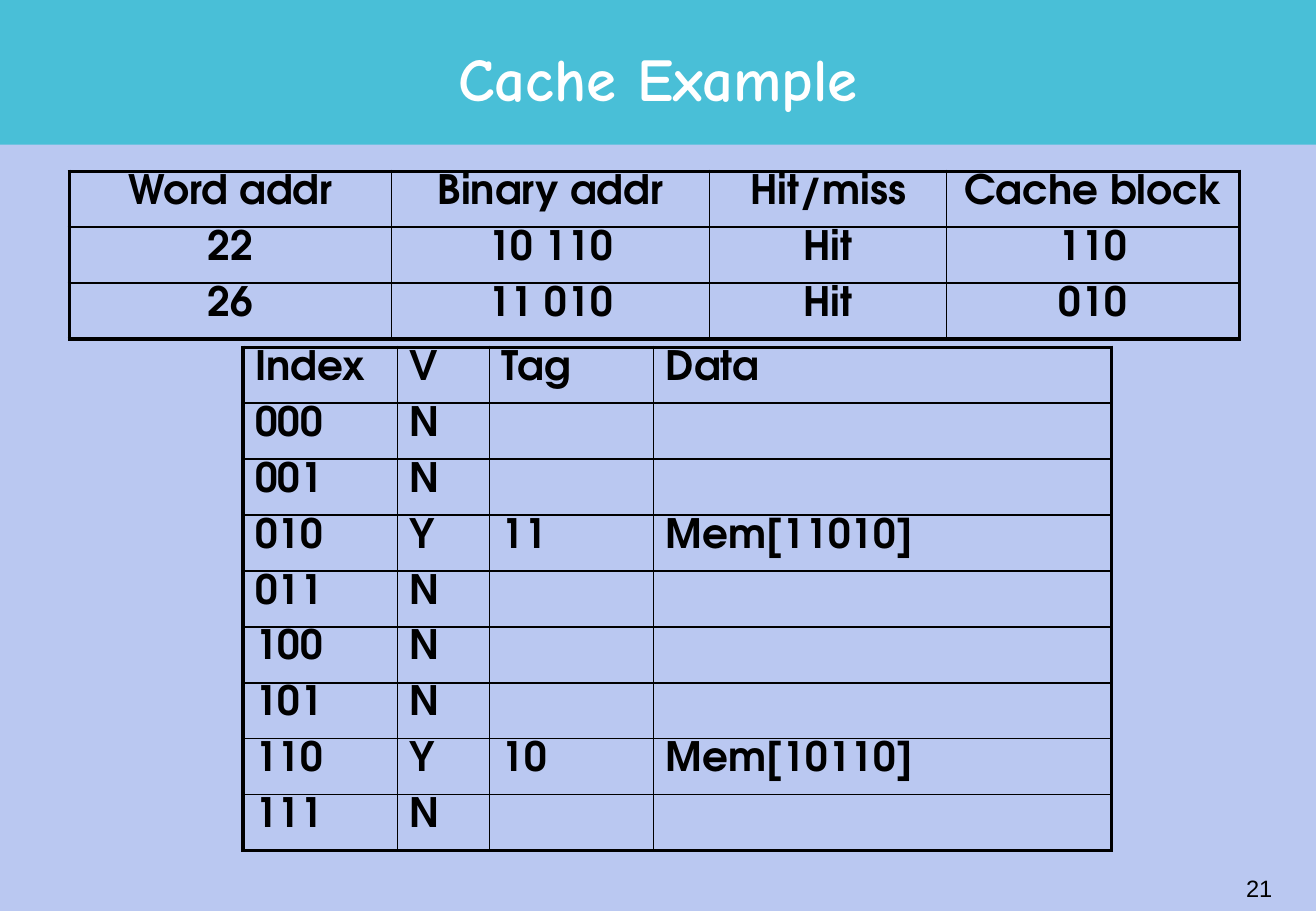
from lxml import etree
from pptx import Presentation, util as u
from pptx.dml.color import RGBColor
from pptx.enum import shapes, text
from pptx.oxml import ns

TEAL = RGBColor(0x49, 0xBF, 0xD7)
LILAC = RGBColor(0xBA, 0xC8, 0xF1)
WHITE = RGBColor(0xFF, 0xFF, 0xFF)
BLACK = RGBColor(0, 0, 0)
LEFT, MID, RIGHT = text.PP_ALIGN.LEFT, text.PP_ALIGN.CENTER, text.PP_ALIGN.RIGHT
THIN, RULE, FRAME = 1, 1.5, 2.25


def write(frame, words, font, size, color, bold, align, space):
    """Fill the first paragraph of a text frame with one styled run."""
    para = frame.paragraphs[0]
    para.alignment = align
    para.line_spacing = space
    run = para.add_run()
    run.text = words
    run.font.name = font
    run.font.size = u.Pt(size)
    run.font.bold = bold
    run.font.color.rgb = color


def edge(cell, side, width):
    """Draw one black border, side being L, R, T or B."""
    props = cell._tc.get_or_add_tcPr()
    line = etree.SubElement(props, ns.qn("a:ln" + side), w=str(u.Pt(width)))
    fill = etree.SubElement(line, ns.qn("a:solidFill"))
    etree.SubElement(fill, ns.qn("a:srgbClr"), val=str(BLACK))


deck = Presentation()
deck.slide_width = u.Inches(10.83)
deck.slide_height = u.Inches(7.5)
slide = deck.slides.add_slide(deck.slide_layouts[6])
slide.background.fill.solid()
slide.background.fill.fore_color.rgb = LILAC

band = slide.shapes.add_shape(
    shapes.MSO_SHAPE.RECTANGLE, 0, 0, deck.slide_width, u.Inches(1.19))
band.shadow.inherit = False
band.fill.solid()
band.fill.fore_color.rgb = TEAL
band.line.fill.background()

# Place, words, font, size, colour, bold, alignment, line spacing
labels = [
    ((0.81, 0.19, 9.21, 0.99), "Cache Example", "Comic Neue", 36, WHITE, True, MID, 0.85),
    ((8.31, 7.06, 2.26, 0.5), "21", "Arial", 14, BLACK, False, RIGHT, 1.0),
]
for place, *style in labels:
    frame = slide.shapes.add_textbox(*map(u.Inches, place)).text_frame
    frame.word_wrap = True
    frame.vertical_anchor = text.MSO_ANCHOR.MIDDLE
    write(frame, *style)

# Cache state: only the filled blocks carry a tag
filled = {"010": "11", "110": "10"}
state = [["Index", "V", "Tag", "Data"]]
for block in range(8):
    index = f"{block:03b}"
    tag = filled.get(index, "")
    state.append([index, "Y" if tag else "N", tag, f"Mem[{tag}{index}]" if tag else ""])

access = [
    ["Word addr", "Binary addr", "Hit/miss", "Cache block"],
    ["22", "10 110", "Hit", "110"],
    ["26", "11 010", "Hit", "010"],
]

# Left, top, column widths, row height, rows, alignment, inner rule
tables = [
    (2, 2.86, [1.27, 0.76, 1.35, 3.77], 0.45, state, LEFT, THIN),
    (0.57, 1.41, [2.65, 2.62, 1.95, 2.41], 0.46, access, MID, RULE),
]
for left, top, widths, high, rows, align, inner in tables:
    count, last = len(rows), len(widths) - 1
    table = slide.shapes.add_table(
        count, len(widths), u.Inches(left), u.Inches(top),
        u.Inches(sum(widths)), u.Inches(high * count)).table
    table.first_row = table.horz_banding = False
    for col, width in zip(table.columns, widths):
        col.width = u.Inches(width)
    rules = [FRAME, RULE] + [inner] * (count - 2) + [FRAME]
    for r, row in enumerate(rows):
        table.rows[r].height = u.Inches(high)
        for c, words in enumerate(row):
            cell = table.cell(r, c)
            edge(cell, "L", THIN if c else FRAME)
            edge(cell, "R", THIN if c < last else FRAME)
            edge(cell, "T", rules[r])
            edge(cell, "B", rules[r + 1])
            cell.fill.background()
            if words:
                write(cell.text_frame, words, "TeX Gyre Adventor", 24, BLACK, True, align, 0.9)

deck.save("out.pptx")
